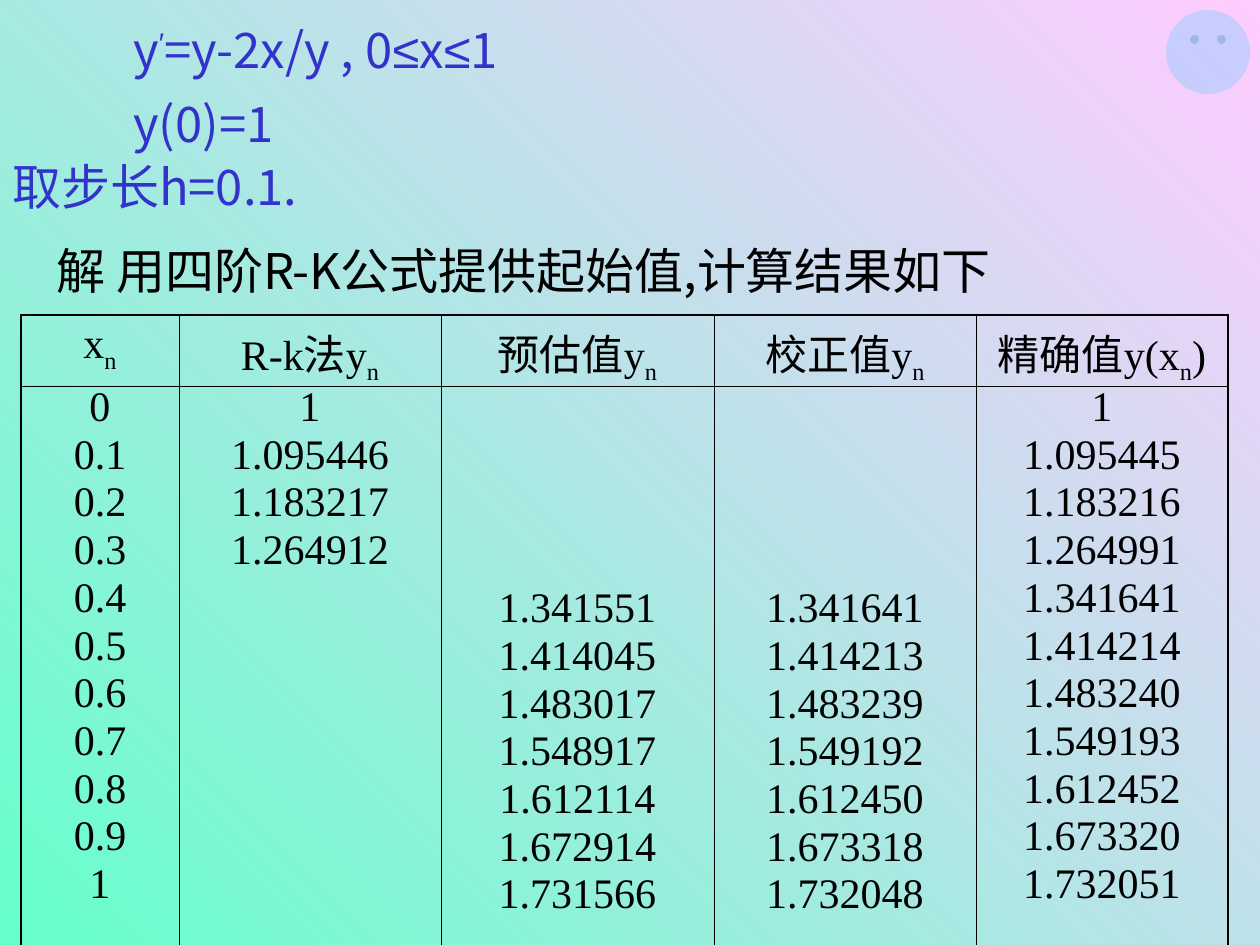
from lxml import etree
from pptx import Presentation
from pptx.dml.color import RGBColor
from pptx.enum.shapes import MSO_SHAPE
from pptx.enum.text import MSO_AUTO_SIZE, PP_ALIGN
from pptx.oxml.ns import qn
from pptx.util import Pt

SMILEY = MSO_SHAPE.SMILEY_FACE
GROW = MSO_AUTO_SIZE.SHAPE_TO_FIT_TEXT
CENTER = PP_ALIGN.CENTER

PINK = RGBColor(0xFF, 0xCC, 0xFF)
MINT = RGBColor(0x66, 0xFF, 0xCC)
BLUE = RGBColor(0x33, 0x33, 0xCC)
SKY = RGBColor(0x99, 0xCC, 0xFF)
BLACK = RGBColor(0, 0, 0)

SANS = "Noto Sans CJK SC"
ARIAL = "Arial"
SERIF = "Times New Roman"
THIN, THICK = 0.45, 1.08

LINES = [
    (10, 121, BLUE, [("y", SANS, 0), ("′", ARIAL, 30), ("=y-2x/y , 0", SANS, 0),
                     ("≤", ARIAL, 0), ("x", SANS, 0), ("≤", ARIAL, 0), ("1", SANS, 0)]),
    (84, 121, BLUE, [("y(0)=1", SANS, 0)]),
    (147, 0, BLUE, [("取步长h=0.1.", SANS, 0)]),
    (231, 44, BLACK, [("解 用四阶R-K公式提供起始值,计算结果如下", SANS, 0)]),
]

HEADS = [("x", ""), ("R-k法y", ""), ("预估值y", ""), ("校正值y", ""), ("精确值y(x", ")")]
WIDTHS = [158, 262, 273, 262, 252]
HEIGHTS = [71, 572]
PAD, SKIP = 6, 201
COLUMNS = [
    (0, "0 0.1 0.2 0.3 0.4 0.5 0.6 0.7 0.8 0.9 1"),
    (0, "1 1.095446 1.183217 1.264912"),
    (SKIP, "1.341551 1.414045 1.483017 1.548917 1.612114 1.672914 1.731566"),
    (SKIP, "1.341641 1.414213 1.483239 1.549192 1.612450 1.673318 1.732048"),
    (0, "1 1.095445 1.183216 1.264991 1.341641 1.414214 1.483240 1.549193 "
        "1.612452 1.673320 1.732051"),
]


def px(n):
    return round(n * 914400 / 126)


def add_run(para, text, base=0):
    run = para.add_run()
    run.text = text
    if base:
        run._r.get_or_add_rPr().set("baseline", str(base * 1000))
    return run


def style(para, size, color, font=None):
    para.font.size = Pt(size)
    para.font.color.rgb = color
    if font:
        para.font.name = font


def add_line(slide, box, indent, color, parts):
    frame = slide.shapes.add_textbox(*map(px, box)).text_frame
    frame.word_wrap = True
    frame.auto_size = GROW
    para = frame.paragraphs[0]
    para.line_spacing = 1.05
    para.space_before = Pt(17.5)
    para._p.get_or_add_pPr().set("marL", str(px(indent)))
    fonts = {font for _, font, _ in parts}
    style(para, 28, color, fonts.pop() if len(fonts) == 1 else None)
    for text, font, base in parts:
        run = add_run(para, text, base)
        if fonts:
            run.font.name = font


def set_edges(cell, edges):
    props = cell._tc.get_or_add_tcPr()
    for side, width in edges.items():
        line = etree.SubElement(props, qn("a:ln" + side), w=str(Pt(width)))
        fill = etree.SubElement(line, qn("a:solidFill"))
        etree.SubElement(fill, qn("a:srgbClr"), val=str(BLACK))
    cell.fill.background()


def fill_head(cell, text, tail):
    para = cell.text_frame.paragraphs[0]
    para.alignment = CENTER
    para.space_before = Pt(6)
    style(para, 24, BLACK, SERIF)
    add_run(para, text)
    add_run(para, "n", -25)
    if tail:
        add_run(para, tail)


def fill_list(cell, skip, values):
    cell.margin_top = px(PAD + skip)
    frame = cell.text_frame
    frame.text = "\n".join(values.split())
    for para in frame.paragraphs:
        para.alignment = CENTER
        para.line_spacing = 0.8
        para.space_before = Pt(6)
        style(para, 24, BLACK, SERIF)


def add_grid(slide, left, top):
    box = (left, top, sum(WIDTHS), sum(HEIGHTS))
    table = slide.shapes.add_table(2, len(WIDTHS), *map(px, box)).table
    table.first_row = table.horz_banding = False
    for row, height in zip(table.rows, HEIGHTS):
        row.height = px(height)
    last = len(WIDTHS) - 1
    for c, width in enumerate(WIDTHS):
        table.columns[c].width = px(width)
        for r in range(2):
            set_edges(table.cell(r, c), {
                "L": THICK if c == 0 else THIN,
                "R": THICK if c == last else THIN,
                "T": THICK if r == 0 else THIN,
                "B": THICK if r == 1 else THIN,
            })
        fill_head(table.cell(0, c), *HEADS[c])
        fill_list(table.cell(1, c), *COLUMNS[c])


def add_face(slide, box):
    face = slide.shapes.add_shape(SMILEY, *map(px, box))
    face.shadow.inherit = False
    face.adjustments[0] = 0.093
    face.fill.solid()
    face.fill.fore_color.rgb = SKY
    tint = face._element.spPr.find(qn("a:solidFill"))[0]
    etree.SubElement(tint, qn("a:alpha"), val="50000")
    face.line.fill.background()


def paint(slide):
    fill = slide.background.fill
    fill.gradient()
    fill.gradient_angle = 225
    for stop, color, place in zip(fill.gradient_stops, (PINK, MINT), (0, 1)):
        stop.color.rgb = color
        stop.position = place


def main():
    deck = Presentation()
    deck.slide_width, deck.slide_height = px(1260), px(945)
    slide = deck.slides.add_slide(deck.slide_layouts[6])
    paint(slide)
    for top, indent, color, parts in LINES:
        add_line(slide, (0, top, 1260, 74), indent, color, parts)
    add_grid(slide, 21, 315)
    add_face(slide, (1166, 10, 84, 84))
    deck.save("out.pptx")


if __name__ == "__main__":
    main()
